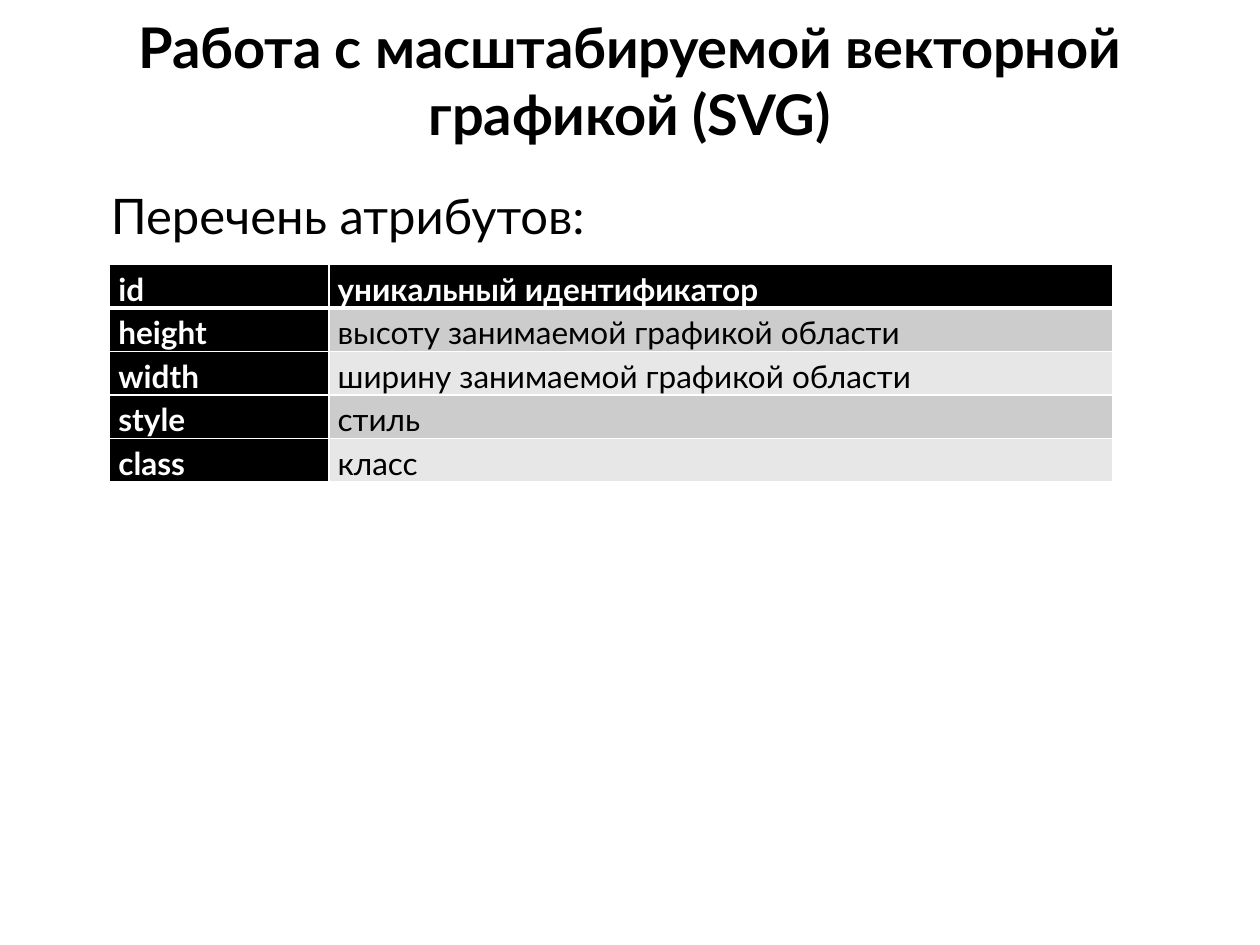
import pptx
import pptx.dml.color
import pptx.enum.text
import pptx.oxml
import pptx.oxml.ns
import pptx.util

Inches = pptx.util.Inches
Pt = pptx.util.Pt
RGBColor = pptx.dml.color.RGBColor
Align = pptx.enum.text.PP_ALIGN

BLACK = RGBColor(0x00, 0x00, 0x00)
WHITE = RGBColor(0xFF, 0xFF, 0xFF)
DARK_BAND = RGBColor(0xCC, 0xCC, 0xCC)
LIGHT_BAND = RGBColor(0xE7, 0xE7, 0xE7)

ATTRIBUTES = [
    ("id", "уникальный идентификатор"),
    ("height", "высоту занимаемой графикой области"),
    ("width", "ширину занимаемой графикой области"),
    ("style", "стиль"),
    ("class", "класс"),
]


class SlideWriter:
    """Adds consistently styled elements to the current slide."""

    font = "Lato"

    def __init__(self, page):
        self.page = page

    def span(self, para, text, size, color=BLACK, bold=False):
        span = para.add_run()
        span.text = text
        span.font.name = self.font
        span.font.size = Pt(size)
        span.font.bold = bold
        span.font.color.rgb = color
        return span

    def box(self, left, top, width, height):
        box = self.page.shapes.add_textbox(
            Inches(left), Inches(top), Inches(width), Inches(height))
        box.text_frame.word_wrap = True
        return box.text_frame

    def title(self, text):
        para = self.box(0, 0.05, 10, 1.18).paragraphs[0]
        para.alignment = Align.CENTER
        span = self.span(para, text, 32, bold=True)
        span.font._element.set("spc", "-10")

    def subtitle(self, text):
        frame = self.box(0.87, 1.39, 8.27, 0.52)
        frame.margin_left = frame.margin_right = frame.margin_bottom = 0
        frame.margin_top = Inches(0.07)
        para = frame.paragraphs[0]
        para.line_spacing = Pt(34.6)
        para.space_before = Pt(5.3)
        para._p.get_or_add_pPr().set("marL", str(Inches(0.01)))
        self.span(para, text, 28)

    def borders(self, cell, bottom):
        properties = cell._tc.get_or_add_tcPr()
        widths = {"lnL": 1, "lnR": 1, "lnT": 1, "lnB": bottom}
        for index, (side, width) in enumerate(widths.items()):
            properties.insert(index, pptx.oxml.parse_xml(
                f'<a:{side} {pptx.oxml.ns.nsdecls("a")} w="{Pt(width)}">'
                f'<a:solidFill><a:srgbClr val="{WHITE}"/></a:solidFill></a:{side}>'))

    def cell(self, cell, text, fill, color, bold, bottom):
        cell.margin_left = cell.margin_right = Inches(0.07)
        cell.margin_top = cell.margin_bottom = 0
        cell.fill.solid()
        cell.fill.fore_color.rgb = fill
        self.borders(cell, bottom)
        para = cell.text_frame.paragraphs[0]
        para.alignment = Align.JUSTIFY
        para.line_spacing = 1.15
        self.span(para, text, 18, color, bold)

    def table(self, rows, left, top, widths, row_height):
        table = self.page.shapes.add_table(
            len(rows), len(widths), Inches(left), Inches(top),
            Inches(sum(widths)), Inches(row_height * len(rows))).table
        for column, width in zip(table.columns, widths):
            column.width = Inches(width)
        for row, texts in enumerate(rows):
            band = DARK_BAND if row % 2 else LIGHT_BAND
            for column, text in enumerate(texts):
                heading = row == 0 or column == 0
                self.cell(
                    table.cell(row, column), text,
                    fill=BLACK if heading else band,
                    color=WHITE if heading else BLACK,
                    bold=heading,
                    bottom=3 if row == 0 else 1)


def main():
    deck = pptx.Presentation()
    deck.slide_width = Inches(10)
    deck.slide_height = Inches(7.5)
    writer = SlideWriter(deck.slides.add_slide(deck.slide_layouts[6]))
    writer.title("Работа с масштабируемой векторной графикой (SVG)")
    writer.subtitle("Перечень атрибутов:")
    writer.table(ATTRIBUTES, 0.87, 2.1, (1.74, 6.22), 0.34)
    deck.save("out.pptx")


if __name__ == "__main__":
    main()
